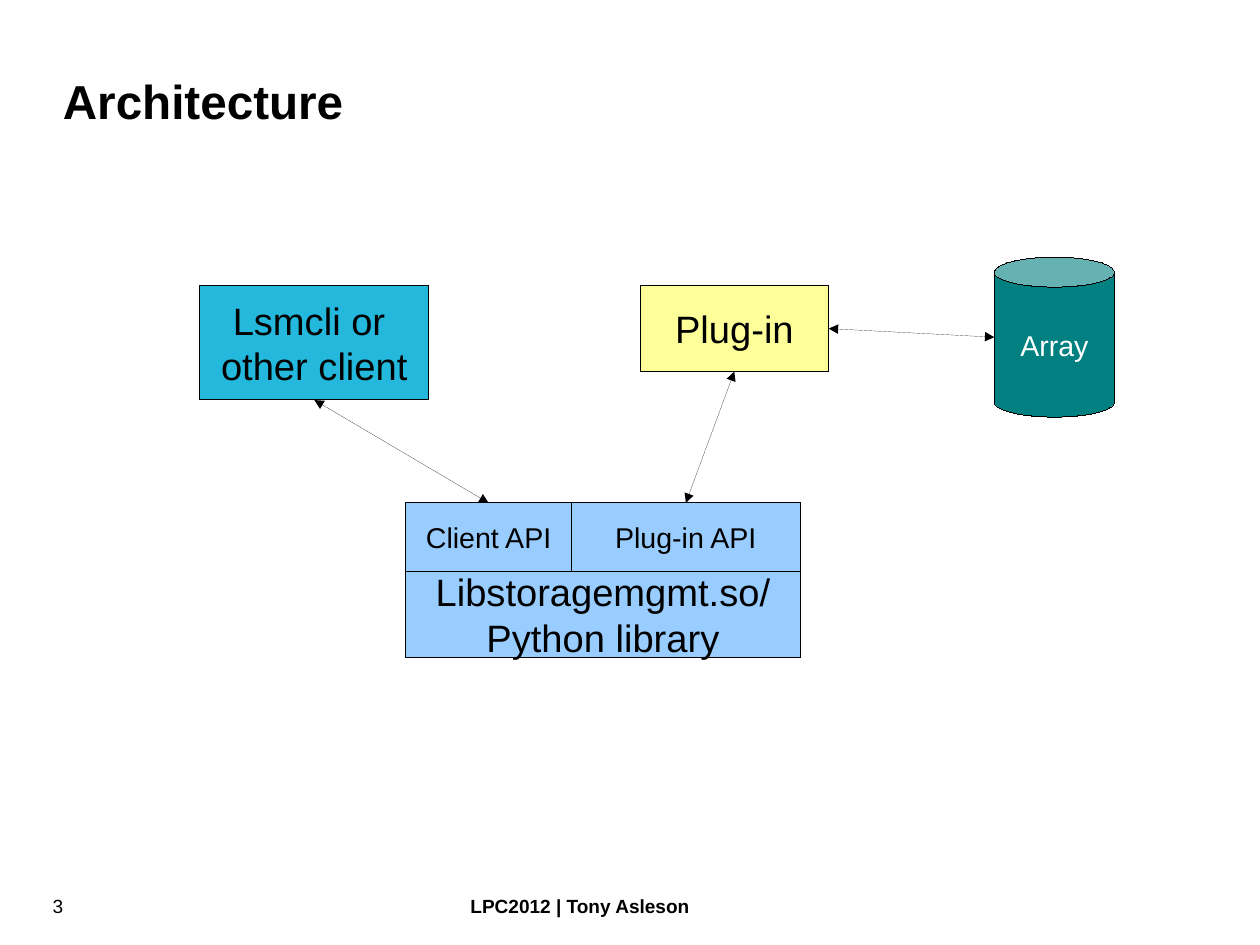
from lxml.etree import SubElement
from pptx import Presentation
from pptx.dml.color import RGBColor as RGB
from pptx.enum.shapes import MSO_CONNECTOR as LINE, MSO_SHAPE as SHAPE
from pptx.enum.text import MSO_ANCHOR as ANCHOR, PP_ALIGN as ALIGN
from pptx.oxml.ns import qn
from pptx.util import Cm, Inches, Pt

BLACK = RGB(0, 0, 0)
WHITE = RGB(255, 255, 255)
SKY = RGB(0x99, 0xCC, 0xFF)
CYAN = RGB(0x23, 0xB8, 0xDC)
CREAM = RGB(0xFF, 0xFF, 0x99)
TEAL = RGB(0, 0x80, 0x80)
TOP, LEFT, BOTTOM, RIGHT = range(4)

TITLE = ("Architecture", (0.55, 0.25, 9.92, 1.25))
FOOT = [
    ("LPC2012 | Tony Asleson", (2.65, 7.83, 4.85, 0.25), ALIGN.CENTER, True),
    ("3", (0.46, 7.83, 1.25, 0.25), ALIGN.LEFT, False),
]
NODES = {
    "library": ("Libstoragemgmt.so/\nPython library", (3.55, 5, 3.45, 0.75), SHAPE.RECTANGLE, SKY, 24, BLACK),
    "client api": ("Client API", (3.55, 4.4, 1.45, 0.6), SHAPE.RECTANGLE, SKY, 18, BLACK),
    "plug-in api": ("Plug-in API", (5, 4.4, 2, 0.6), SHAPE.RECTANGLE, SKY, 18, BLACK),
    "client": ("Lsmcli or \nother client", (1.75, 2.5, 2, 1), SHAPE.RECTANGLE, CYAN, 24, BLACK),
    "plug-in": ("Plug-in", (5.6, 2.5, 1.65, 0.75), SHAPE.RECTANGLE, CREAM, 24, BLACK),
    "array": ("Array", (8.7, 2.25, 1.05, 1.4), SHAPE.CAN, TEAL, 18, WHITE),
}
LINKS = [
    ("plug-in", RIGHT, "array", LEFT),
    ("client", BOTTOM, "client api", TOP),
    ("plug-in api", TOP, "plug-in", BOTTOM),
]


def write(shape, text, size, color=BLACK, align=ALIGN.LEFT, bold=False):
    """Fill a shape with uniformly styled Arial text."""
    frame = shape.text_frame
    frame.text = text
    for para in frame.paragraphs:
        para.alignment = align
        for run in para.runs:
            font = run.font
            font.name, font.size, font.bold = "Arial", Pt(size), bold
            font.color.rgb = color
    return frame


def trim(frame):
    """Remove the margins of a text frame."""
    frame.margin_left = frame.margin_right = 0
    frame.margin_top = frame.margin_bottom = 0
    frame.word_wrap = True


def ink(shape):
    """Give a shape a black hairline and return its line element."""
    shape.line.color.rgb = BLACK
    stroke = shape.get_or_add_ln()
    stroke.set("w", "0")
    return stroke


def add_node(text, box, kind, fill, size, color):
    """Draw one labelled part of the architecture."""
    node = slide.shapes.add_shape(kind, *map(Inches, box))
    node.shadow.inherit = False
    node.fill.solid()
    node.fill.fore_color.rgb = fill
    ink(node)
    frame = write(node, text, size, color, ALIGN.CENTER)
    frame.vertical_anchor = ANCHOR.MIDDLE
    frame.word_wrap = False
    return node


def find_site(node, side):
    """Return the middle of one side of a node."""
    mid_x, mid_y = node.left + node.width // 2, node.top + node.height // 2
    return {
        TOP: (mid_x, node.top),
        LEFT: (node.left, mid_y),
        BOTTOM: (mid_x, node.top + node.height),
        RIGHT: (node.left + node.width, mid_y),
    }[side]


def add_link(start, out, end, into):
    """Join two nodes with a double-headed arrow."""
    ends = find_site(nodes[start], out) + find_site(nodes[end], into)
    link = slide.shapes.add_connector(LINE.STRAIGHT, *ends)
    link.begin_connect(nodes[start], out)
    if NODES[end][2] == SHAPE.RECTANGLE:
        link.end_connect(nodes[end], into)
    stroke = ink(link)
    for tip in ("a:headEnd", "a:tailEnd"):
        SubElement(stroke, qn(tip), type="triangle")
    SubElement(link._element.spPr, qn("a:effectLst"))


deck = Presentation()
deck.slide_width = Cm(28)
deck.slide_height = Cm(21)
slide = deck.slides.add_slide(deck.slide_layouts[5])

title = slide.shapes.title
text, box = TITLE
title.left, title.top, title.width, title.height = map(Inches, box)
frame = write(title, text, 30, bold=True)
frame.vertical_anchor = ANCHOR.MIDDLE
trim(frame)

for text, box, align, bold in FOOT:
    note = slide.shapes.add_textbox(*map(Inches, box))
    trim(write(note, text, 12, align=align, bold=bold))

nodes = {name: add_node(*node) for name, node in NODES.items()}
for link in LINKS:
    add_link(*link)

deck.save("out.pptx")
